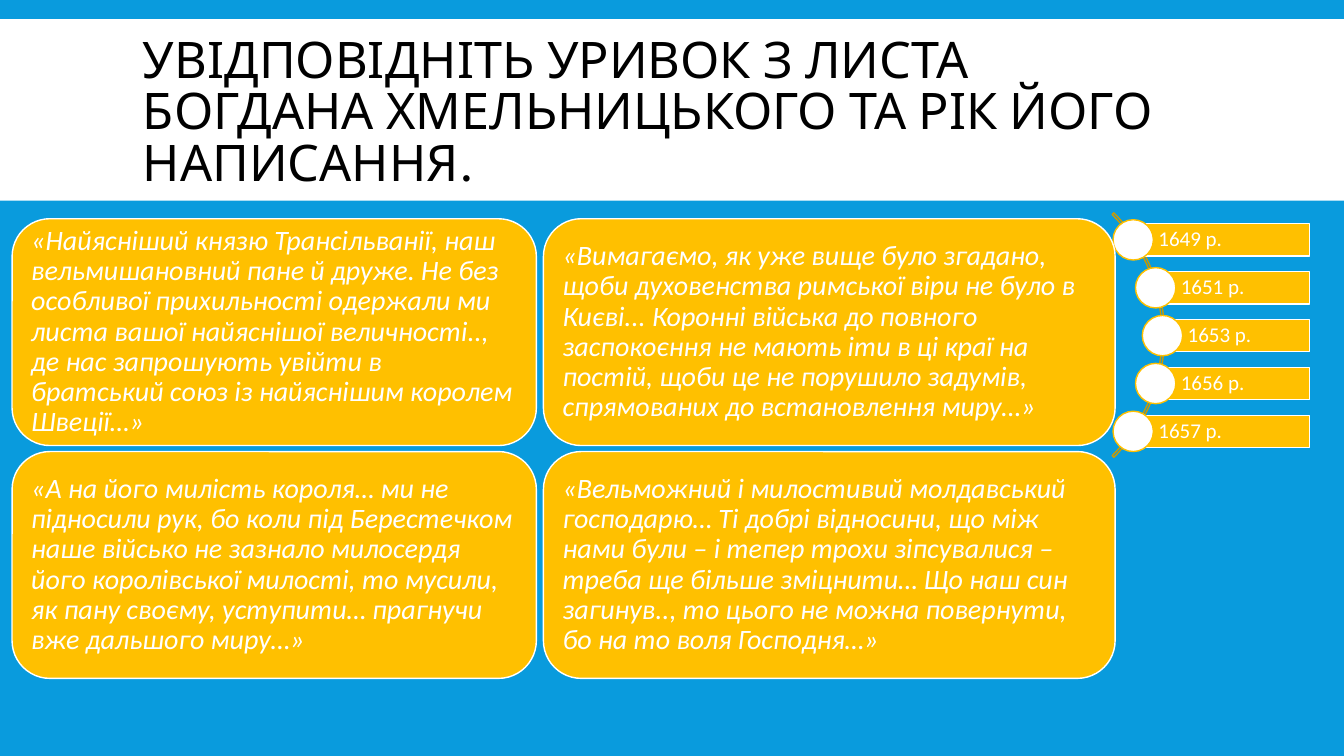
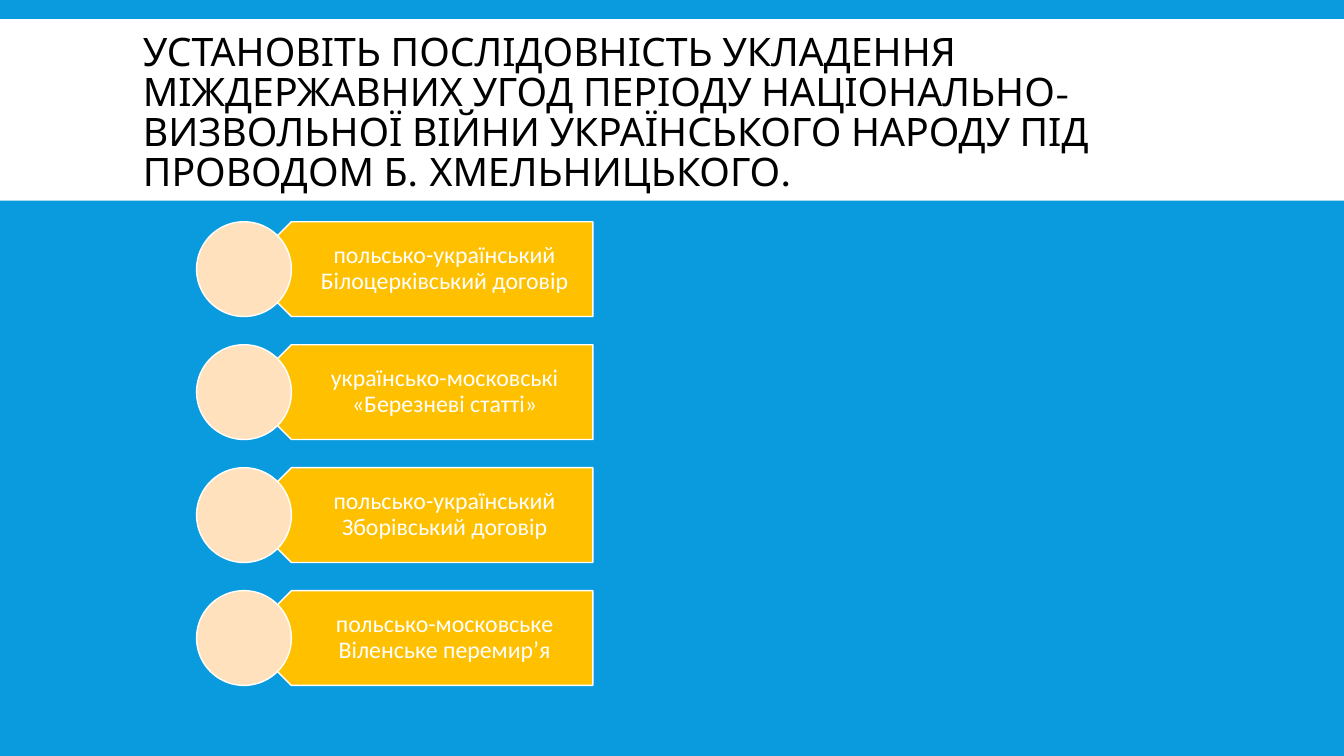
from math import sqrt
from pptx import Presentation
from pptx.dml.color import RGBColor
from pptx.enum.shapes import MSO_SHAPE
from pptx.enum.text import MSO_ANCHOR, PP_ALIGN
from pptx.util import Inches, Pt

RECT = MSO_SHAPE.RECTANGLE
ROUND = MSO_SHAPE.ROUNDED_RECTANGLE
OVAL = MSO_SHAPE.OVAL
ARC = MSO_SHAPE.BLOCK_ARC
ARROW = MSO_SHAPE.PENTAGON
MIDDLE = MSO_ANCHOR.MIDDLE
LEFT = PP_ALIGN.LEFT
CENTER = PP_ALIGN.CENTER

COLORS = {
    "sky": "099BDD",
    "white": "FFFFFF",
    "black": "000000",
    "gold": "FFC000",
    "bronze": "CC9A00",
    "peach": "FFE2BD",
}
HEAD = "League Spartan"
BODY = "Calibri"

QUOTES = [
    (0.12, 5.2, [
        "«Найясніший князю Трансільванії, наш вельмишановний пане й друже. Не без особливої прихильності одержали ми листа вашої найяснішої величності.., де нас запрошують увійти в братський союз із найяснішим королем Швеції…»",
        "«А на його милість короля… ми не підносили рук, бо коли під Берестечком наше військо не зазнало милосердя його королівської милості, то мусили, як пану своєму, уступити… прагнучи вже дальшого миру…»",
    ]),
    (5.39, 5.67, [
        "«Вимагаємо, як уже вище було згадано, щоби духовенства римської віри не було в Києві... Коронні війська до повного заспокоєння не мають іти в ці краї на постій, щоби це не порушило задумів, спрямованих до встановлення миру…»",
        "«Вельможний і милостивий молдавський господарю… Ті добрі відносини, що між нами були – і тепер трохи зіпсувалися – треба ще більше зміцнити… Що наш син загинув.., то цього не можна повернути, бо на то воля Господня…»",
    ]),
]
YEARS = ["1649 р.", "1651 р.", "1653 р.", "1656 р.", "1657 р."]
PACTS = [
    "польсько-український Білоцерківський договір",
    "українсько-московські «Березневі статті»",
    "польсько-український Зборівський договір",
    "польсько-московське Віленське перемир’я",
]


def rgb(name):
    return RGBColor.from_string(COLORS[name])


def write(shape, text, size, font=BODY, color="white", italic=False,
          align=LEFT, space=0.9, pads=(0.08, 0.08, 0.08, 0.08)):
    frame = shape.text_frame
    frame.word_wrap = True
    frame.vertical_anchor = MIDDLE
    (frame.margin_left, frame.margin_top,
     frame.margin_right, frame.margin_bottom) = map(Inches, pads)
    para = frame.paragraphs[0]
    para.alignment = align
    para.line_spacing = space
    run = para.add_run()
    run.text = text
    run.font.name = font
    run.font.size = Pt(size)
    run.font.italic = italic
    run.font.color.rgb = rgb(color)


def draw(slide, kind, box, fill=None, line=None):
    shape = slide.shapes.add_shape(kind, *map(Inches, box))
    shape.shadow.inherit = False
    if fill:
        shape.fill.solid()
        shape.fill.fore_color.rgb = rgb(fill)
    else:
        shape.fill.background()
    if line:
        shape.line.color.rgb = rgb(line)
        shape.line.width = Pt(1)
    else:
        shape.line.fill.background()
    return shape


def label(slide, box, text, **style):
    write(slide.shapes.add_textbox(*map(Inches, box)), text, **style)


def start(deck, title, size):
    slide = deck.slides.add_slide(deck.slide_layouts[6])
    draw(slide, RECT, (0, 0.19, 13.33, 1.8), "white")
    label(slide, (1.32, 0.31, 10.7, 1.65), title, size=size, font=HEAD,
          color="black", space=0.85, pads=(0.1, 0.05, 0.1, 0.05))
    return slide


def quotes(slide, left, width, texts):
    for row, text in enumerate(texts):
        box = (left, 2.17 + row * 2.31, width, 2.25)
        card = draw(slide, ROUND, box, "gold", "white")
        write(card, text, size=20, italic=True)


def years(slide):
    mid_x, mid_y, rad, right = 9.83, 3.33, 1.7, 12.99
    arc = draw(slide, ARC, (8.12, 1.61, 3.43, 3.43), line="bronze")
    for pos, value in enumerate((189, 27, 0.007)):
        arc.adjustments[pos] = value
    for row, text in enumerate(YEARS):
        rise = (row - 2) * 0.475
        x = mid_x + sqrt(rad ** 2 - rise ** 2)
        y = mid_y + rise
        bar = draw(slide, RECT, (x, y - 0.16, right - x, 0.32), "gold", "white")
        write(bar, text, size=15, pads=(0.25, 0.04, 0.04, 0.04))
        draw(slide, OVAL, (x - 0.2, y - 0.2, 0.4, 0.4), "white", "gold")


def pacts(slide):
    high = 0.94
    for row, text in enumerate(PACTS):
        top = 2.2 + row * 1.22
        arrow = draw(slide, ARROW, (2.42, top, 3.46, high), "gold", "white")
        arrow.rotation = 180
        label(slide, (2.66, top, 3.22, high), text, size=17, align=CENTER,
              pads=(0.41, 0.07, 0.13, 0.07))
        draw(slide, OVAL, (1.95, top, high, high), "peach", "white")


def main():
    deck = Presentation()
    deck.slide_width = Inches(13.33)
    deck.slide_height = Inches(7.5)
    back = deck.slide_master.background.fill
    back.solid()
    back.fore_color.rgb = rgb("sky")

    match = start(deck, "УВІДПОВІДНІТЬ УРИВОК З ЛИСТА БОГДАНА ХМЕЛЬНИЦЬКОГО ТА РІК ЙОГО НАПИСАННЯ.", 36)
    quotes(match, *QUOTES[0])
    years(match)
    quotes(match, *QUOTES[1])

    order = start(deck, "УСТАНОВІТЬ ПОСЛІДОВНІСТЬ УКЛАДЕННЯ МІЖДЕРЖАВНИХ УГОД ПЕРІОДУ НАЦІОНАЛЬНО-ВИЗВОЛЬНОЇ ВІЙНИ УКРАЇНСЬКОГО НАРОДУ ПІД ПРОВОДОМ Б. ХМЕЛЬНИЦЬКОГО.", 28)
    pacts(order)
    deck.save("out.pptx")


if __name__ == "__main__":
    main()
